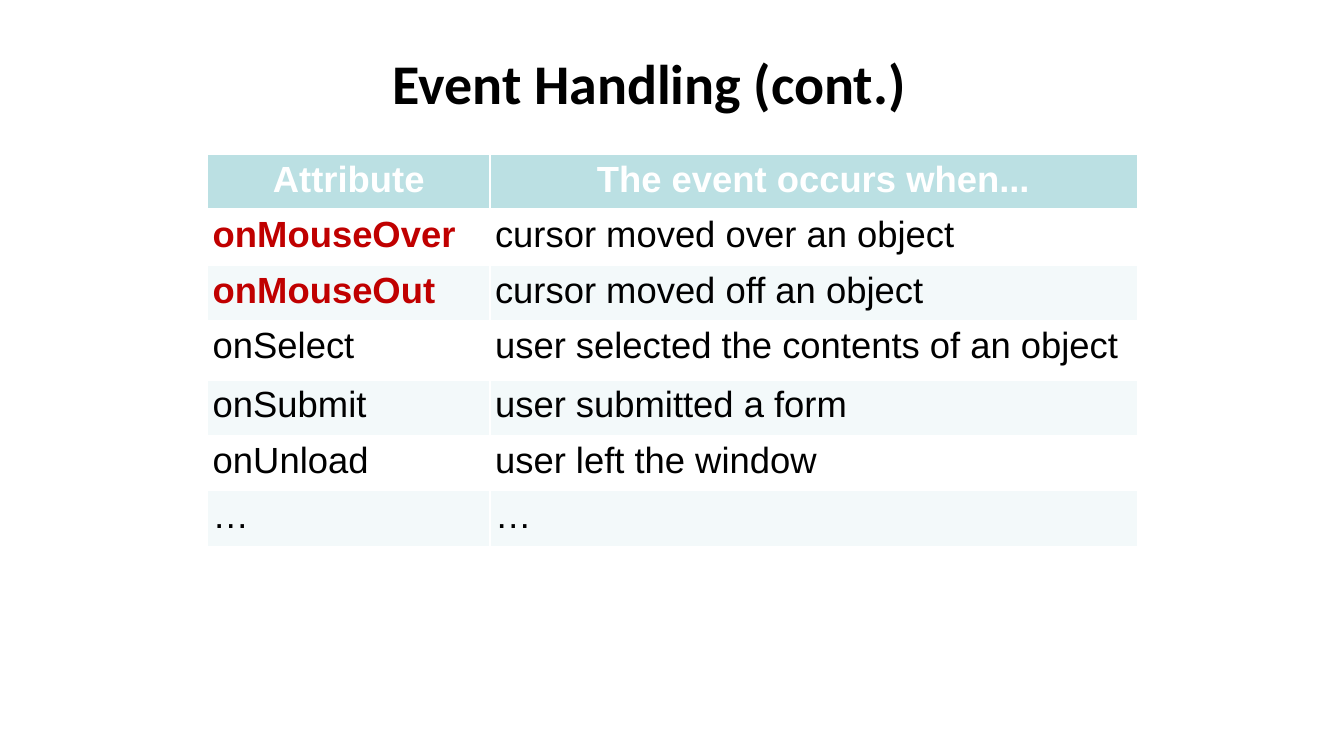
from lxml import etree
from pptx import Presentation
from pptx.dml.color import RGBColor
from pptx.enum.text import MSO_ANCHOR, PP_ALIGN
from pptx.oxml.ns import qn
from pptx.util import Inches, Pt

CENTER, LEFT = PP_ALIGN.CENTER, PP_ALIGN.LEFT
MIDDLE, TOP = MSO_ANCHOR.MIDDLE, MSO_ANCHOR.TOP

BLACK = RGBColor(0x00, 0x00, 0x00)
WHITE = RGBColor(0xFF, 0xFF, 0xFF)
RED = RGBColor(0xC0, 0x00, 0x00)
TEAL = RGBColor(0xBB, 0xE0, 0xE3)
PALE = RGBColor(0xF3, 0xF9, 0xFA)

EVENTS = [
    ("Attribute", "The event occurs when..."),
    ("onMouseOver", "cursor moved over an object"),
    ("onMouseOut", "cursor moved off an object"),
    ("onSelect", "user selected the contents of an object"),
    ("onSubmit", "user submitted a form"),
    ("onUnload", "user left the window"),
    ("…", "…"),
]
KEY_EVENTS = ("onMouseOver", "onMouseOut")
COLUMN_WIDTHS = (2.8, 6.42)
ROW_HEIGHT, TALL_ROW_HEIGHT, TALL_ROW = 0.55, 0.59, 3


def write(tf, text, font, size, color, bold, align):
    tf.text = text
    p = tf.paragraphs[0]
    p.alignment = align
    r = p.runs[0]
    r.font.name = font
    r.font.size = Pt(size)
    r.font.bold = bold
    r.font.color.rgb = color


def set_borders(cell, top, bottom):
    tcPr = cell._tc.get_or_add_tcPr()
    sides = (("a:lnL", 1), ("a:lnR", 1), ("a:lnT", top), ("a:lnB", bottom))
    for i, (tag, width) in enumerate(sides):
        ln = etree.Element(qn(tag), w=str(Pt(width)))
        fill = etree.SubElement(ln, qn("a:solidFill"))
        etree.SubElement(fill, qn("a:srgbClr"), val=str(WHITE))
        tcPr.insert(i, ln)


def add_title(s, left, top, width, height):
    sp = s.shapes.add_textbox(Inches(left), Inches(top), Inches(width), Inches(height))
    tf = sp.text_frame
    tf.word_wrap = True
    tf.vertical_anchor = MIDDLE
    write(tf, "Event Handling (cont.)", "Calibri", 40, BLACK, True, CENTER)
    tf.paragraphs[0].line_spacing = 0.9


def fill_cell(cell, text, row):
    header = row == 0
    key = text in KEY_EVENTS
    cell.margin_left = cell.margin_right = Inches(0.05)
    cell.margin_top = cell.margin_bottom = Inches(0.05)
    cell.vertical_anchor = TOP
    if header or row % 2 == 0:
        cell.fill.solid()
        cell.fill.fore_color.rgb = TEAL if header else PALE
    else:
        cell.fill.background()
    color = WHITE if header else RED if key else BLACK
    write(cell.text_frame, text, "Arial", 26, color, header or key,
          CENTER if header else LEFT)
    set_borders(cell, 3 if row == 1 else 1, 3 if header else 1)


def add_event_table(s, left, top, width, height):
    frame = s.shapes.add_table(len(EVENTS), len(COLUMN_WIDTHS), Inches(left),
                               Inches(top), Inches(width), Inches(height))
    table = frame.table
    table.horz_banding = False
    for column, column_width in zip(table.columns, COLUMN_WIDTHS):
        column.width = Inches(column_width)
    for i, event in enumerate(EVENTS):
        table.rows[i].height = Inches(TALL_ROW_HEIGHT if i == TALL_ROW else ROW_HEIGHT)
        for j, text in enumerate(event):
            fill_cell(table.cell(i, j), text, i)


def main():
    prs = Presentation()
    prs.slide_width = Inches(13.33)
    prs.slide_height = Inches(7.5)
    s = prs.slides.add_slide(prs.slide_layouts[6])
    add_title(s, 2.19, 0.23, 8.5, 1.25)
    add_event_table(s, 2.06, 1.53, 9.22, 3.86)
    prs.save("out.pptx")


if __name__ == "__main__":
    main()
